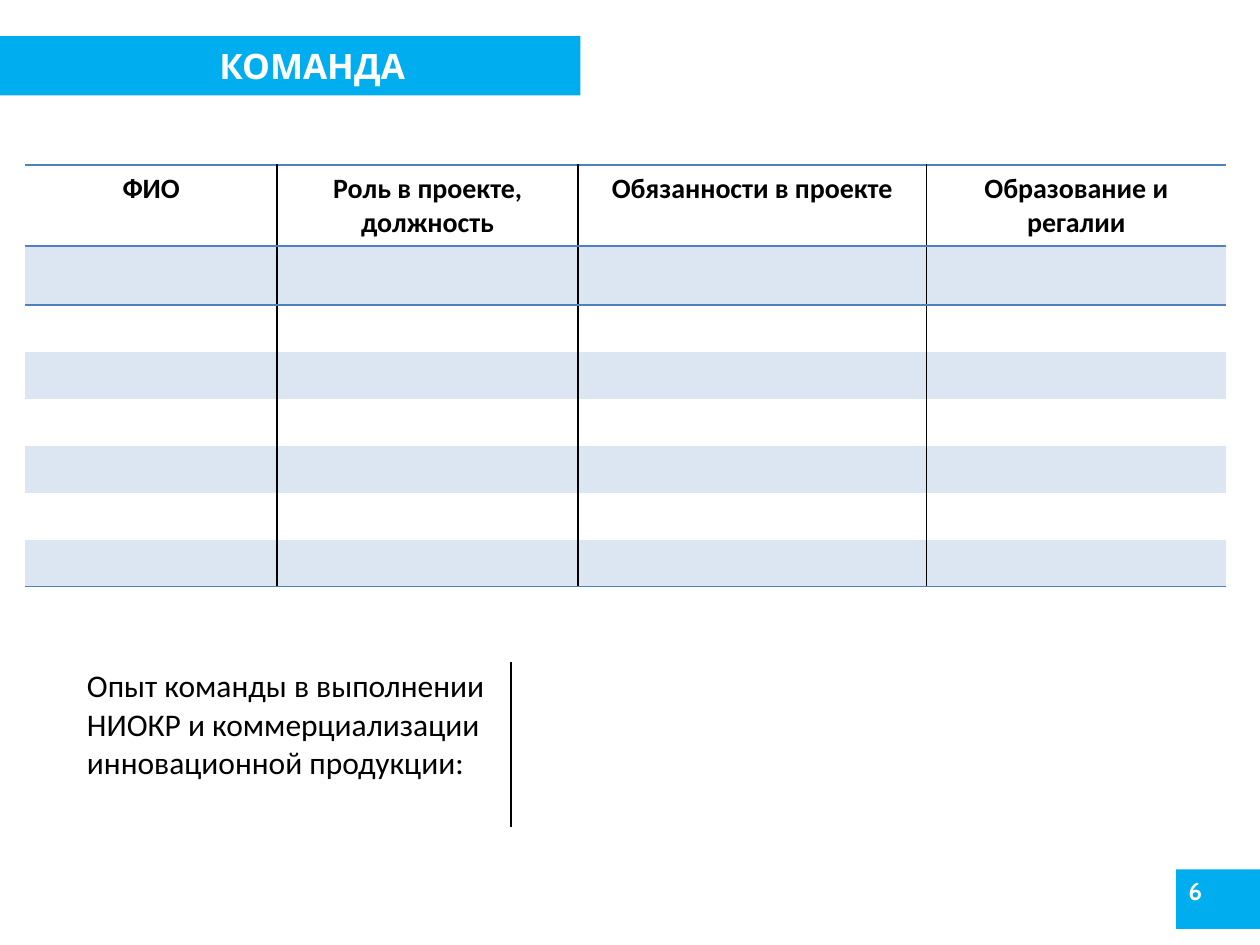
from lxml import etree
from pptx import Presentation
from pptx.dml.color import RGBColor
from pptx.enum.shapes import MSO_SHAPE
from pptx.enum.text import MSO_ANCHOR, PP_ALIGN
from pptx.oxml.ns import qn
from pptx.util import Pt

RECTANGLE = MSO_SHAPE.RECTANGLE
TOP, MIDDLE = MSO_ANCHOR.TOP, MSO_ANCHOR.MIDDLE
LEFT, CENTER = PP_ALIGN.LEFT, PP_ALIGN.CENTER
COLORS = {"accent": "00AEEF", "white": "FFFFFF", "black": "000000",
          "rule": "4F81BD", "band": "DCE6F2"}
PLAIN_TABLE = "{2D5ABB26-0587-4C30-8999-92F81FD0307C}"
BORDER_TAGS = ("a:lnL", "a:lnR", "a:lnT", "a:lnB")


class SlideBuilder:
    """Holds the style and the current slide and adds elements to it."""

    heading_font = "Cabin"
    body_font = "Calibri"
    cell_size = 16

    def __init__(self, slide):
        self.slide = slide

    def color(self, name):
        return RGBColor.from_string(COLORS[name])

    def bar(self, left, top, width, height):
        shape = self.slide.shapes.add_shape(
            RECTANGLE, Pt(left), Pt(top), Pt(width), Pt(height))
        shape.shadow.inherit = False
        shape.fill.solid()
        shape.fill.fore_color.rgb = self.color("accent")
        shape.line.fill.background()

    def add_text(self, frame, text, size, font, color, bold, align):
        paragraph = frame.paragraphs[0]
        paragraph.alignment = align
        run = paragraph.add_run()
        run.text = text
        run.font.size = Pt(size)
        run.font.name = font
        run.font.bold = bold
        run.font.color.rgb = self.color(color)

    def heading(self, text, left, top, width, height, size, align, anchor):
        box = self.slide.shapes.add_textbox(Pt(left), Pt(top), Pt(width), Pt(height))
        frame = box.text_frame
        frame.word_wrap = True
        frame.vertical_anchor = anchor
        self.add_text(frame, text, size, self.heading_font, "white", True, align)

    def table(self, left, top, columns, rows):
        shape = self.slide.shapes.add_table(
            len(rows), len(columns), Pt(left), Pt(top), Pt(sum(columns)), Pt(sum(rows)))
        table = shape.table
        table.first_row = table.horz_banding = False
        table._tbl.tblPr.find(qn("a:tableStyleId")).text = PLAIN_TABLE
        for column, width in zip(table.columns, columns):
            column.width = Pt(width)
        for row, height in zip(table.rows, rows):
            row.height = Pt(height)
        return table

    def cell(self, cell, text="", size=cell_size, bold=False, align=LEFT,
             fill=None, borders=(None, None, None, None)):
        if fill:
            cell.fill.solid()
            cell.fill.fore_color.rgb = self.color(fill)
        else:
            cell.fill.background()
        if text:
            self.add_text(cell.text_frame, text, size, self.body_font, "black", bold, align)
        else:
            end = etree.SubElement(cell.text_frame.paragraphs[0]._p, qn("a:endParaRPr"))
            end.set("sz", str(size * 100))
        self.borders(cell, borders)

    def borders(self, cell, colors):
        properties = cell._tc.get_or_add_tcPr()
        sides = [(tag, color) for tag, color in zip(BORDER_TAGS, colors) if color]
        for position, (tag, color) in enumerate(sides):
            line = etree.Element(qn(tag), w=str(Pt(1)))
            fill = etree.SubElement(line, qn("a:solidFill"))
            etree.SubElement(fill, qn("a:srgbClr"), val=COLORS[color])
            properties.insert(position, line)


def add_team_table(builder):
    headers = ["ФИО", "Роль в проекте, должность",
               "Обязанности в проекте", "Образование и регалии"]
    columns = [144, 172, 199, 171.4]
    rows = [46.3, 33.8] + [26.8] * 6
    table = builder.table(14.4, 94.3, columns, rows)
    last_row, last_column = len(rows) - 1, len(columns) - 1
    for row in range(len(rows)):
        for column, header in enumerate(headers):
            borders = ("black" if column > 0 else None,
                       "black" if column < last_column else None,
                       "rule" if row in (0, 1) else None,
                       "rule" if row in (0, last_row) else None)
            builder.cell(table.cell(row, column), header if row == 0 else "",
                         bold=row == 0, align=CENTER,
                         fill="band" if row % 2 else None, borders=borders)


def add_experience_table(builder):
    table = builder.table(42.5, 378, [249.4, 397], [94.4])
    builder.cell(table.cell(0, 0),
                 "Опыт команды в выполнении НИОКР и коммерциализации инновационной продукции:",
                 size=18, borders=(None, "black", None, None))
    builder.cell(table.cell(0, 1), size=18, borders=("black", None, None, None))


def main():
    presentation = Presentation()
    presentation.slide_width, presentation.slide_height = Pt(720), Pt(540)
    builder = SlideBuilder(presentation.slides.add_slide(presentation.slide_layouts[6]))
    builder.bar(0, 20.6, 331.7, 34)
    builder.bar(672, 496.8, 48, 34)
    builder.heading("КОМАНДА", 25.4, 20.6, 306, 34, 20, CENTER, MIDDLE)
    builder.heading("6", 672, 496.8, 45.4, 34, 14, LEFT, TOP)
    add_team_table(builder)
    add_experience_table(builder)
    presentation.save("out.pptx")


if __name__ == "__main__":
    main()
